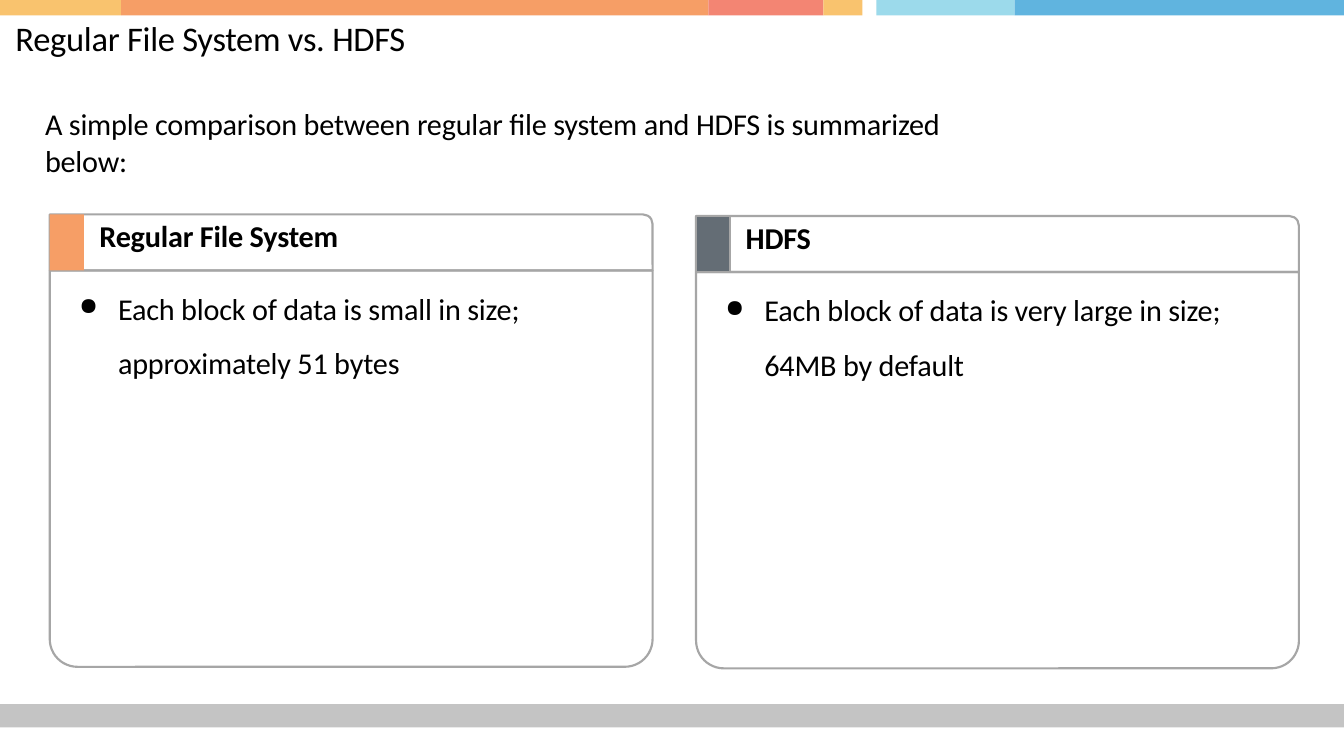
from lxml import etree
from pptx import Presentation
from pptx.dml.color import RGBColor
from pptx.enum.shapes import MSO_SHAPE
from pptx.oxml.ns import qn
from pptx.util import Inches, Pt

RECTANGLE = MSO_SHAPE.RECTANGLE
HEADER_SHAPE = MSO_SHAPE.ROUND_1_RECTANGLE
BODY_SHAPE = MSO_SHAPE.ROUND_2_SAME_RECTANGLE

COLOURS = {
    "text": "000000",
    "border": "A6A6A6",
    "footer": "C4C4C4",
    "amber": "F9C36E",
    "orange": "F69E66",
    "coral": "F38573",
    "aqua": "9CDAEB",
    "blue": "60B4DF",
    "slate": "646D75",
}
TOP_BAR = [
    (0, 0.78, "amber"),
    (0.78, 4.56, "orange"),
    (4.56, 5.3, "coral"),
    (5.3, 5.55, "amber"),
    (5.64, 6.53, "aqua"),
    (6.53, 8.65, "blue"),
]
PANELS = [
    {"left": 0.32, "top": 1.38, "accent": "orange", "outline": None,
     "heading": "Regular File System", "text_width": 2.91,
     "point": "Each block of data is small in size; approximately 51 bytes"},
    {"left": 4.48, "top": 1.39, "accent": "slate", "outline": "border",
     "heading": "HDFS", "text_width": 3.27,
     "point": "Each block of data is very large in size; 64MB by default"},
]
PANEL_WIDTH, HEADER_HEIGHT, BODY_HEIGHT, SWATCH_WIDTH = 3.88, 0.36, 2.55, 0.22


class SlideBuilder:
    """Holds the text style and the current slide and draws its elements."""

    def __init__(self, slide):
        self.slide = slide
        self.style = {"name": "Calibri", "size": Pt(14), "bold": False}

    def colour(self, name):
        return RGBColor.from_string(COLOURS[name])

    def shape(self, kind, left, top, width, height, fill=None, line=None, corners=()):
        shape = self.slide.shapes.add_shape(
            kind, Inches(left), Inches(top), Inches(width), Inches(height))
        shape.shadow.inherit = False
        if fill:
            shape.fill.solid()
            shape.fill.fore_color.rgb = self.colour(fill)
        else:
            shape.fill.background()
        if line:
            shape.line.color.rgb = self.colour(line)
            shape.line.width = Pt(1)
        else:
            shape.line.fill.background()
        for index, corner in enumerate(corners):
            shape.adjustments[index] = corner

    def text(self, left, top, width, height, wording, bullet=False, **changes):
        box = self.slide.shapes.add_textbox(
            Inches(left), Inches(top), Inches(width), Inches(height))
        frame = box.text_frame
        frame.word_wrap = True
        for side in ("left", "top", "right", "bottom"):
            setattr(frame, f"margin_{side}", 0)
        paragraph = frame.paragraphs[0]
        if bullet:
            self.bullet(paragraph)
        run = paragraph.add_run()
        run.text = wording
        for attribute, value in {**self.style, **changes}.items():
            setattr(run.font, attribute, value)
        run.font.color.rgb = self.colour("text")
        run._r.get_or_add_rPr().set("spc", "-10")

    def bullet(self, paragraph):
        paragraph.line_spacing = 1.5
        properties = paragraph._p.get_or_add_pPr()
        properties.set("marL", str(Inches(0.26)))
        properties.set("indent", str(Inches(-0.25)))
        etree.SubElement(properties, qn("a:buSzPct")).set("val", "79000")
        etree.SubElement(properties, qn("a:buChar")).set("char", "●")

    def panel(self, left, top, accent, outline, heading, text_width, point):
        body_top = top + HEADER_HEIGHT
        self.shape(HEADER_SHAPE, left, top, PANEL_WIDTH, HEADER_HEIGHT,
                   line="border", corners=[0.17])
        self.shape(BODY_SHAPE, left, body_top, PANEL_WIDTH, BODY_HEIGHT,
                   line="border", corners=[0, 0.07])
        self.shape(RECTANGLE, left, top, SWATCH_WIDTH, HEADER_HEIGHT, accent, outline)
        self.text(left + 0.32, top + 0.02, 3, 0.26, heading, bold=True)
        self.text(left + 0.18, body_top + 0.01, text_width, 0.72, point, bullet=True)


def main():
    presentation = Presentation()
    presentation.slide_width = Inches(8.65)
    presentation.slide_height = Inches(4.69)
    slide = presentation.slides.add_slide(presentation.slide_layouts[6])
    builder = SlideBuilder(slide)
    builder.shape(RECTANGLE, 0, 4.53, 8.65, 0.15, "footer")
    for start, end, colour in TOP_BAR:
        builder.shape(RECTANGLE, start, 0, end - start, 0.1, colour)
    builder.text(0.1, 0.11, 8.47, 0.29, "Regular File System vs. HDFS", size=Pt(16))
    builder.text(0.29, 0.68, 6.3, 0.47,
                 "A simple comparison between regular file system and HDFS is summarized below:")
    for panel in PANELS:
        builder.panel(**panel)
    presentation.save("out.pptx")


if __name__ == "__main__":
    main()
